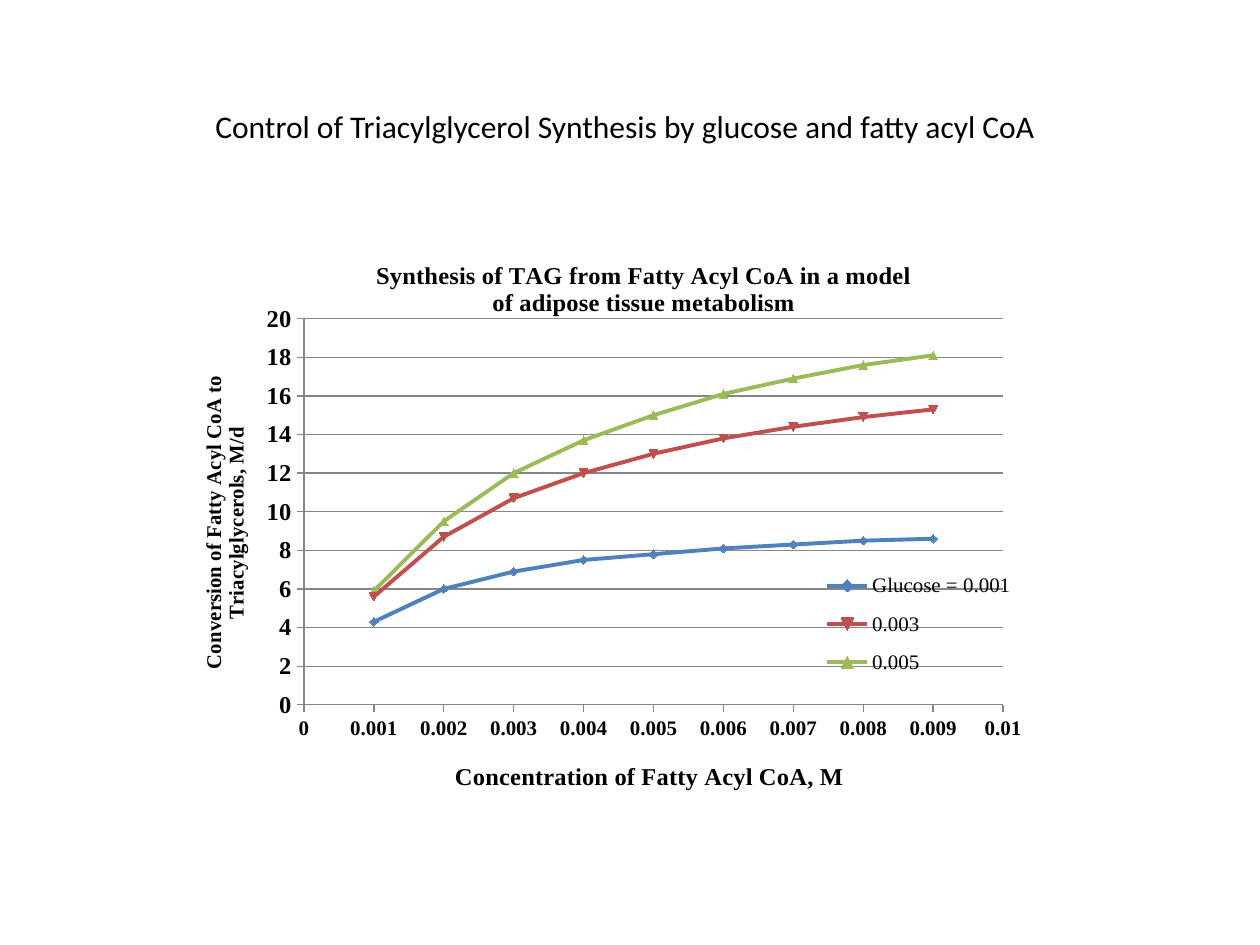
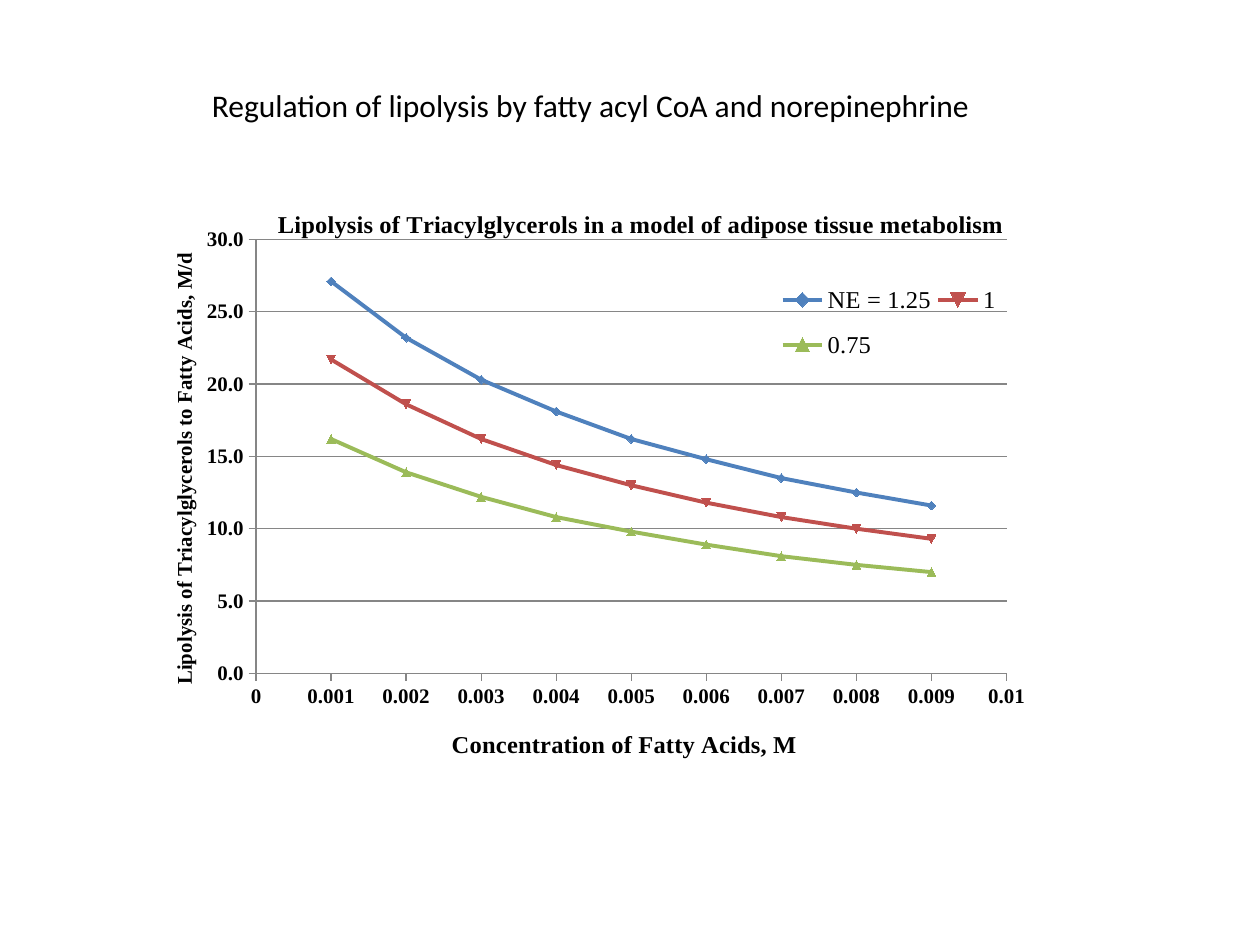
from lxml import etree
from pptx import Presentation
from pptx.chart.data import XyChartData
from pptx.dml.color import RGBColor
from pptx.enum import chart as charts, text
from pptx.oxml import ns
from pptx.util import Pt

COLORS = {"text": "000000", "axis": "868686",
          "low": "4F81BD", "middle": "C0504D", "high": "9BBB59"}
SERIES_COLORS = ("low", "middle", "high")
BODY_FONT = "Calibri"
CHART_FONT = "Times New Roman"
CONCENTRATIONS = [step / 1000 for step in range(1, 10)]

SYNTHESIS = {
    "box": (90, 132, 558, 324),
    "plot": (0.15, 0.157, 0.716, 0.691),
    "legend": (0.68, 0.586, 0.2, 0.235),
    "legend_size": 12,
    "title": ("Synthesis of TAG from Fatty Acyl CoA in a model\nof adipose tissue metabolism",
              (0.22, 0.045)),
    "x_title": ("Concentration of Fatty Acyl CoA, M", (0.3, 0.94)),
    "y_title": ("Conversion of Fatty Acyl CoA to Triacylglycerols, M/d", (0.04, 0.26)),
    "y_axis": {"maximum": 20, "step": 2, "number_format": "0", "size": 14},
    "series": {
        "Glucose = 0.001": (4.3, 6, 6.9, 7.5, 7.8, 8.1, 8.3, 8.5, 8.6),
        "0.003": (5.6, 8.7, 10.7, 12, 13, 13.8, 14.4, 14.9, 15.3),
        "0.005": (5.9, 9.5, 12, 13.7, 15, 16.1, 16.9, 17.6, 18.1),
    },
}
LIPOLYSIS = {
    "box": (90, 102, 552, 336),
    "plot": (0.102, 0.105, 0.777, 0.747),
    "legend": (0.64, 0.155, 0.235, 0.185),
    "legend_size": 14,
    "title": ("Lipolysis of Triacylglycerols in a model of adipose tissue metabolism",
              (0.12, 0.045)),
    "x_title": ("Concentration of Fatty Acids, M", (0.3, 0.94)),
    "y_title": ("Lipolysis of Triacylglycerols to Fatty Acids, M/d", (0.01, 0.13)),
    "y_axis": {"maximum": 30, "step": 5, "number_format": "0.0", "size": 12},
    "series": {
        "NE = 1.25": (27.1, 23.2, 20.3, 18.1, 16.2, 14.8, 13.5, 12.5, 11.6),
        "1": (21.7, 18.6, 16.2, 14.4, 13, 11.8, 10.8, 10, 9.3),
        "0.75": (16.2, 13.9, 12.2, 10.8, 9.8, 8.9, 8.1, 7.5, 7),
    },
}


def color(name):
    return RGBColor.from_string(COLORS[name])


def set_font(font, size, bold=False, name=CHART_FONT):
    font.name, font.size, font.bold = name, Pt(size), bold
    font.color.rgb = color("text")


def set_layout(element, index, position):
    """Place a chart part by fractions of the chart: x, y and optionally w, h."""
    for old_layout in element.findall(ns.qn("c:layout")):
        element.remove(old_layout)
    layout = etree.Element(ns.qn("c:layout"))
    manual = etree.SubElement(layout, ns.qn("c:manualLayout"))
    settings = [("xMode", "edge"), ("yMode", "edge"), *zip("xywh", position)]
    if element.tag == ns.qn("c:plotArea"):
        settings.insert(0, ("layoutTarget", "inner"))
    for tag, value in settings:
        etree.SubElement(manual, ns.qn(f"c:{tag}")).set("val", str(value))
    element.insert(index, layout)


def add_title(owner, element_name, content, size):
    """Give a chart or an axis a bold title at its place."""
    wording, position = content
    title = getattr(owner, element_name)
    title.text_frame.text = wording
    for paragraph in title.text_frame.paragraphs:
        set_font(paragraph.font, size, bold=True)
    set_layout(title._element, 1, position)


def style_axis(axis, maximum, step, number_format, size):
    axis.minimum_scale, axis.maximum_scale, axis.major_unit = 0, maximum, step
    axis.major_tick_mark = charts.XL_TICK_MARK.OUTSIDE
    axis.minor_tick_mark = charts.XL_TICK_MARK.NONE
    axis.tick_labels.number_format = number_format
    axis.tick_labels.number_format_is_linked = False
    set_font(axis.tick_labels.font, size, bold=True)
    style_line(axis.format.line, "axis", 0.75)


def style_line(line, color_name, width):
    line.color.rgb = color(color_name)
    line.width = Pt(width)


def style_series(series, number, color_name):
    series._element.find(ns.qn("c:idx")).set("val", str(number))  # picks the automatic marker
    series.smooth = True
    style_line(series.format.line, color_name, 2.25)
    marker = series.marker
    marker.style = charts.XL_MARKER_STYLE.AUTOMATIC
    marker.size = 5
    marker.format.fill.solid()
    marker.format.fill.fore_color.rgb = color(color_name)
    marker.format.line.color.rgb = color(color_name)


def add_legend(chart, position, size):
    chart.has_legend = True
    chart.legend.position = charts.XL_LEGEND_POSITION.RIGHT
    chart.legend.include_in_layout = False
    set_font(chart.legend.font, size)
    set_layout(chart.legend._element, 1, position)


def add_curves(slide, content):
    data = XyChartData()
    for name, rates in content["series"].items():
        series_data = data.add_series(name)
        for concentration, rate in zip(CONCENTRATIONS, rates):
            series_data.add_data_point(concentration, rate)
    chart = slide.shapes.add_chart(charts.XL_CHART_TYPE.XY_SCATTER_SMOOTH,
                                   *map(Pt, content["box"]), data).chart
    set_font(chart.font, 10, name=BODY_FONT)
    chart.plots[0].vary_by_categories = False
    for number, (series, name) in enumerate(zip(chart.plots[0].series, SERIES_COLORS), 1):
        style_series(series, number, name)

    x_axis, y_axis = chart.category_axis, chart.value_axis
    style_axis(x_axis, 0.01, 0.001, "General", 12)
    style_axis(y_axis, **content["y_axis"])
    x_axis.has_major_gridlines = False
    y_axis.has_major_gridlines = True
    style_line(y_axis.major_gridlines.format.line, "axis", 0.75)

    add_title(chart, "chart_title", content["title"], 14)
    add_title(x_axis, "axis_title", content["x_title"], 14)
    add_title(y_axis, "axis_title", content["y_title"], 12)
    add_legend(chart, content["legend"], content["legend_size"])
    set_layout(chart._chartSpace.chart.plotArea, 0, content["plot"])


def add_heading(slide, wording, left, top, width):
    frame = slide.shapes.add_textbox(Pt(left), Pt(top), Pt(width), Pt(29)).text_frame
    frame.word_wrap = False
    frame.auto_size = text.MSO_AUTO_SIZE.SHAPE_TO_FIT_TEXT
    frame.text = wording
    set_font(frame.paragraphs[0].font, 18, name=BODY_FONT)


def main():
    presentation = Presentation()
    presentation.slide_width, presentation.slide_height = Pt(720), Pt(540)
    pages = (
        (SYNTHESIS, "Control of Triacylglycerol Synthesis by glucose and fatty acyl CoA",
         116, 57.6, 488),
        (LIPOLYSIS, "Regulation of lipolysis by fatty acyl CoA and norepinephrine",
         114, 45.4, 453),
    )
    for content, *heading in pages:
        slide = presentation.slides.add_slide(presentation.slide_layouts[6])
        add_curves(slide, content)
        add_heading(slide, *heading)
    presentation.save("out.pptx")


if __name__ == "__main__":
    main()
